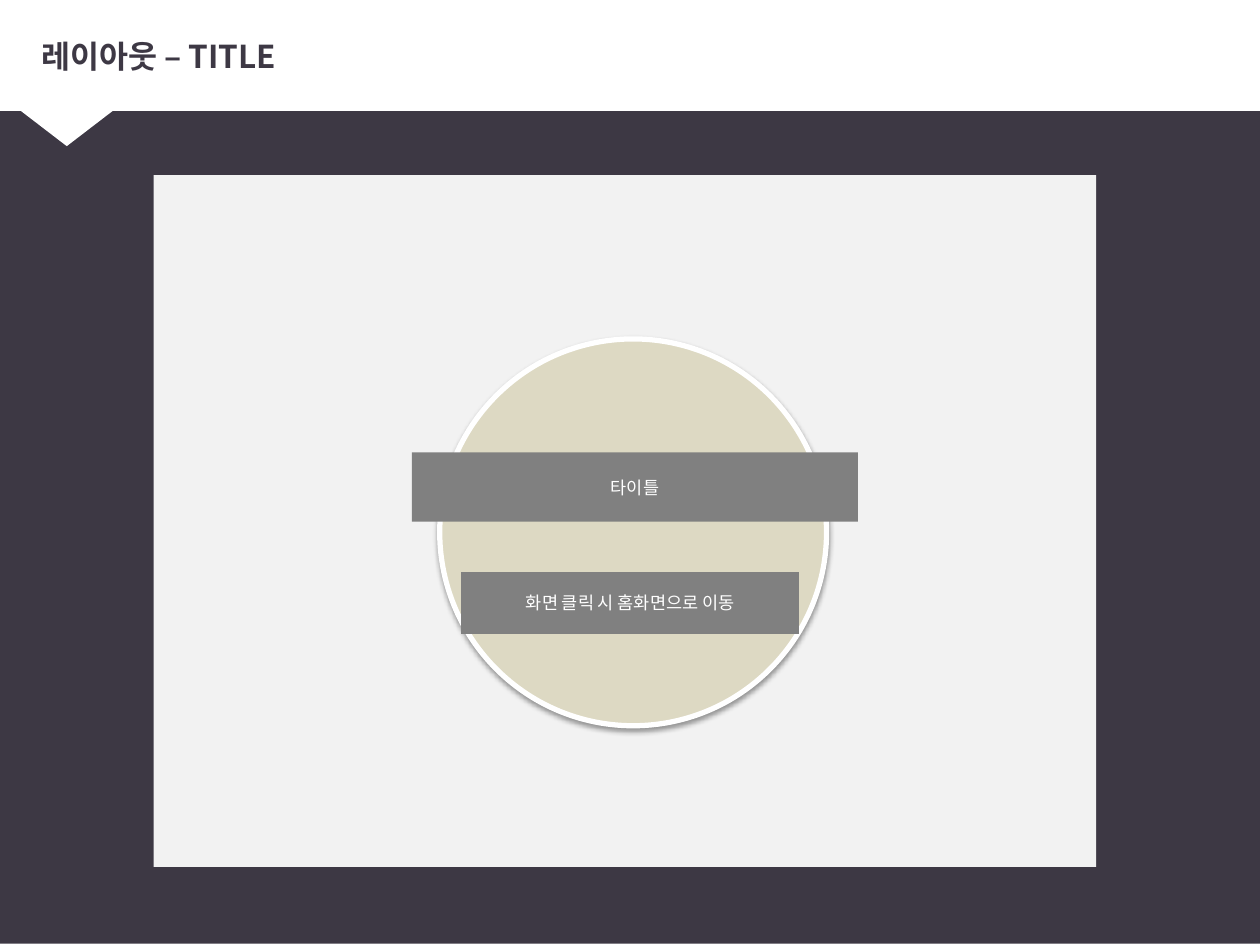
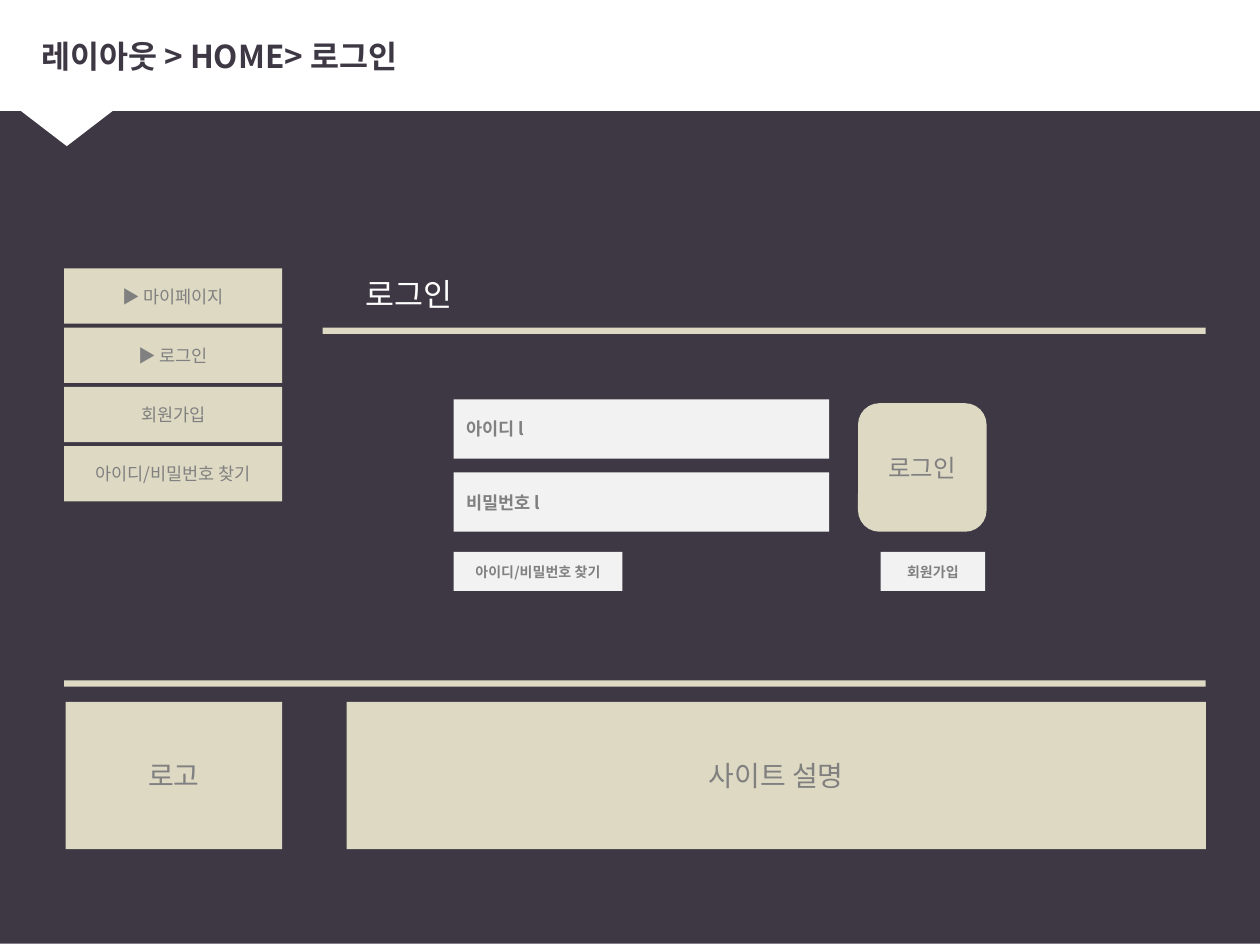
from dataclasses import dataclass

from lxml import etree
from pptx import Presentation
from pptx.dml.color import RGBColor
from pptx.enum.shapes import MSO_SHAPE
from pptx.enum.text import MSO_ANCHOR, PP_ALIGN
from pptx.oxml.ns import qn
from pptx.util import Inches, Pt

RECTANGLE = MSO_SHAPE.RECTANGLE
ROUNDED = MSO_SHAPE.ROUNDED_RECTANGLE
TRIANGLE = MSO_SHAPE.ISOSCELES_TRIANGLE
OVAL = MSO_SHAPE.OVAL
LEFT, CENTER = PP_ALIGN.LEFT, PP_ALIGN.CENTER
TOP, MIDDLE = MSO_ANCHOR.TOP, MSO_ANCHOR.MIDDLE


@dataclass(frozen=True)
class Theme:
    font: str = "Noto Sans CJK KR"
    dark: str = "3D3844"
    white: str = "FFFFFF"
    panel: str = "F2F2F2"
    sand: str = "DDD9C3"
    gray: str = "808080"
    title: int = 18
    block: int = 16
    button: int = 14
    body: int = 10
    small: int = 8


THEME = Theme()


def write_text(shape, text, size, color, bold=False, align=CENTER, anchor=MIDDLE):
    frame = shape.text_frame
    frame.word_wrap = True
    frame.vertical_anchor = anchor
    frame.text = text
    para = frame.paragraphs[0]
    para.alignment = align
    for span in para.runs:
        span.font.name = THEME.font
        span.font.size = Pt(size)
        span.font.bold = bold
        span.font.color.rgb = RGBColor.from_string(color)
        east_asian = etree.SubElement(span.font._element, qn("a:ea"))
        east_asian.set("typeface", THEME.font)


def add_box(page, left, top, width, height, fill, kind=RECTANGLE):
    box = page.shapes.add_shape(
        kind, Inches(left), Inches(top), Inches(width), Inches(height))
    box.shadow.inherit = False
    box.fill.solid()
    box.fill.fore_color.rgb = RGBColor.from_string(fill)
    box.line.fill.background()
    return box


def add_label(page, left, top, width, height, text, size, color, **style):
    label = page.shapes.add_textbox(
        Inches(left), Inches(top), Inches(width), Inches(height))
    write_text(label, text, size, color, **style)


def add_sand_box(page, left, top, width, height, text, size, kind=RECTANGLE):
    box = add_box(page, left, top, width, height, THEME.sand, kind)
    write_text(box, text, size, THEME.gray)


def add_light_box(page, left, top, width, height, text, size, align=CENTER):
    box = add_box(page, left, top, width, height, THEME.panel)
    write_text(box, text, size, THEME.gray, bold=True, align=align)


def add_gray_bar(page, left, top, width, height, text):
    bar = add_box(page, left, top, width, height, THEME.gray)
    write_text(bar, text, THEME.body, THEME.white)


def add_rule(page, left, top, width):
    add_box(page, left, top, width, 0.05, THEME.sand)


def add_drop_shadow(shape):
    effects = shape._element.spPr.find(qn("a:effectLst"))
    shadow = etree.SubElement(
        effects, qn("a:outerShdw"), blurRad=str(Pt(3.1)), dist=str(Pt(1.6)),
        dir="5400000", rotWithShape="0")
    color = etree.SubElement(shadow, qn("a:srgbClr"), val="000000")
    etree.SubElement(color, qn("a:alpha"), val="38000")


def add_page(deck, title):
    page = deck.slides.add_slide(deck.slide_layouts[6])
    add_box(page, 0, -0.01, 10.14, 7.5, THEME.dark)
    add_box(page, -0.03, -0.02, 10.17, 0.9, THEME.white)
    pointer = add_box(page, -0.2, 0.6, 1.46, 0.56, THEME.white, TRIANGLE)
    pointer.rotation = 180
    add_label(page, 0.23, 0.13, 9.66, 0.62, title, THEME.title, THEME.dark,
              bold=True, align=LEFT)
    return page


def build_title_page(deck):
    page = add_page(deck, "레이아웃 – TITLE")
    add_box(page, 1.22, 1.39, 7.48, 5.49, THEME.panel)
    circle = add_box(page, 3.49, 2.69, 3.07, 3.07, THEME.sand, OVAL)
    circle.line.color.rgb = RGBColor.from_string(THEME.white)
    circle.line.width = Pt(3)
    add_drop_shadow(circle)
    add_gray_bar(page, 3.66, 4.54, 2.68, 0.49, "화면 클릭 시 홈화면으로 이동")
    add_gray_bar(page, 3.27, 3.59, 3.54, 0.55, "타이틀")


def add_side_menu(page):
    items = ("▶ 마이페이지", "▶ 로그인", "회원가입", "아이디/비밀번호 찾기")
    for row, item in enumerate(items):
        add_sand_box(page, 0.51, 2.13 + row * 0.47, 1.73, 0.44, item, THEME.body)


def add_login_form(page):
    for row, field in enumerate(("아이디 l", "비밀번호 l")):
        add_light_box(page, 3.6, 3.17 + row * 0.58, 2.98, 0.47, field,
                      THEME.body, LEFT)
    add_sand_box(page, 6.81, 3.2, 1.02, 1.02, "로그인", THEME.button, ROUNDED)
    links = ((3.6, 1.34, "아이디/비밀번호 찾기"), (6.99, 0.83, "회원가입"))
    for left, width, text in links:
        add_light_box(page, left, 4.38, width, 0.31, text, THEME.small)


def add_site_footer(page):
    add_rule(page, 0.51, 5.4, 9.06)
    for left, width, text in ((0.52, 1.72, "로고"), (2.75, 6.82, "사이트 설명")):
        add_sand_box(page, left, 5.57, width, 1.17, text, THEME.block)


def build_login_page(deck):
    page = add_page(deck, "레이아웃 > HOME> 로그인")
    add_side_menu(page)
    add_label(page, 2.8, 2.13, 1.18, 0.4, "로그인", THEME.title, THEME.white,
              align=LEFT, anchor=TOP)
    add_rule(page, 2.56, 2.6, 7.01)
    add_login_form(page)
    add_site_footer(page)


def main():
    deck = Presentation()
    deck.slide_width = Inches(10)
    deck.slide_height = Inches(7.5)
    build_title_page(deck)
    build_login_page(deck)
    deck.save("out.pptx")


if __name__ == "__main__":
    main()
